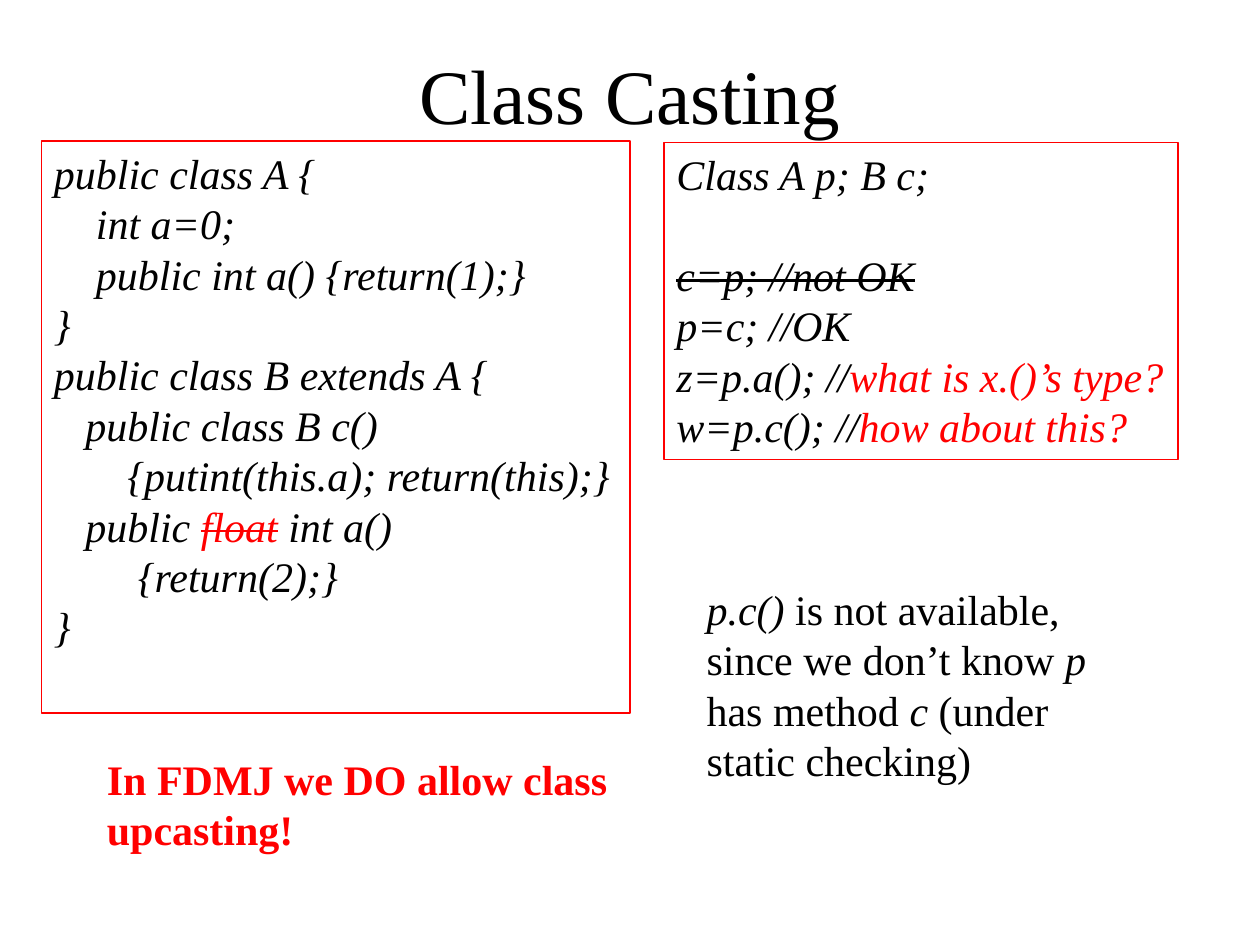
from dataclasses import dataclass

from pptx import Presentation
from pptx.dml.color import RGBColor
from pptx.enum.shapes import MSO_SHAPE
from pptx.enum.text import MSO_ANCHOR, PP_ALIGN
from pptx.util import Inches, Pt

RECTANGLE = MSO_SHAPE.RECTANGLE
TOP, MIDDLE = MSO_ANCHOR.TOP, MSO_ANCHOR.MIDDLE
LEFT, CENTER = PP_ALIGN.LEFT, PP_ALIGN.CENTER


@dataclass(frozen=True)
class Theme:
    font: str = "Times New Roman"
    ink: RGBColor = RGBColor(0, 0, 0)
    accent: RGBColor = RGBColor(255, 0, 0)
    title_size: float = 44
    body_size: float = 24
    line_pitch: float = 28.8
    frame_width: float = 0.75
    indent_step: float = 1 / 12  # inches per code column


class SlideBuilder:
    def __init__(self, slide, theme):
        self.slide = slide
        self.theme = theme

    def write_runs(self, paragraph, runs, size):
        """Each run is (text, flags): i italic, b bold, s struck, r red."""
        for text, flags in runs:
            run = paragraph.add_run()
            run.text = text
            font = run.font
            font.name = self.theme.font
            font.size = Pt(size)
            font.bold = "b" in flags
            font.italic = "i" in flags
            font.color.rgb = self.theme.accent if "r" in flags else self.theme.ink
            if "s" in flags:
                font._element.set("strike", "sngStrike")

    def title(self, box, text):
        frame = self.slide.shapes.add_textbox(*map(Inches, box)).text_frame
        frame.word_wrap = True
        frame.vertical_anchor = MIDDLE
        paragraph = frame.paragraphs[0]
        paragraph.alignment = CENTER
        self.write_runs(paragraph, [(text, "")], self.theme.title_size)

    def note(self, box, runs):
        frame = self.slide.shapes.add_textbox(*map(Inches, box)).text_frame
        frame.word_wrap = True
        paragraph = frame.paragraphs[0]
        paragraph.line_spacing = Pt(self.theme.line_pitch)
        self.write_runs(paragraph, runs, self.theme.body_size)

    def code_box(self, box, lines):
        """Each line is (indent columns, blank lines after, runs)."""
        theme = self.theme
        frame_shape = self.slide.shapes.add_shape(RECTANGLE, *map(Inches, box))
        frame_shape.shadow.inherit = False
        frame_shape.fill.background()
        frame_shape.line.color.rgb = theme.accent
        frame_shape.line.width = Pt(theme.frame_width)
        frame = frame_shape.text_frame
        frame.word_wrap = True
        frame.vertical_anchor = TOP
        for index, (columns, gap, runs) in enumerate(lines):
            paragraph = frame.add_paragraph() if index else frame.paragraphs[0]
            paragraph.alignment = LEFT
            paragraph.line_spacing = Pt(theme.line_pitch)
            paragraph.space_after = Pt(gap * theme.line_pitch)
            indent = Inches(columns * theme.indent_step)
            paragraph._p.get_or_add_pPr().set("marL", str(indent))
            self.write_runs(paragraph, runs, theme.body_size)


def code(text, columns=0, gap=0, flags="i"):
    return columns, gap, [(text, flags)]


CLASS_DEFINITIONS = [
    code("public class A {"),
    code("int a=0;", 4),
    code("public int a() {return(1);}", 4),
    code("}"),
    code("public class B extends A {"),
    code("public class B c()", 3),
    code("{putint(this.a); return(this);}", 7),
    (3, 0, [("public ", "i"), ("float", "irs"), (" int a()", "i")]),
    code("{return(2);}", 8),
    code("}"),
]

CASTING_CODE = [
    code("Class A p; B c;", gap=1),
    code("c=p; //not OK", flags="is"),
    code("p=c; //OK"),
    (0, 0, [("z=p.a(); //", "i"), ("what is x.()’s type?", "ir")]),
    (0, 0, [("w=p.c(); //", "i"), ("how about this?", "ir")]),
]

AVAILABILITY_NOTE = [
    ("p.c() ", "i"),
    ("is not available, since we don’t know ", ""),
    ("p", "i"),
    (" has method ", ""),
    ("c", "i"),
    (" (under static checking)", ""),
]


def main():
    deck = Presentation()
    deck.slide_width, deck.slide_height = Inches(10), Inches(7.5)
    slide = deck.slides.add_slide(deck.slide_layouts[6])
    builder = SlideBuilder(slide, Theme())
    builder.title((0.75, 0.37, 8.5, 0.75), "Class Casting")
    builder.code_box((0.33, 1.12, 4.67, 4.54), CLASS_DEFINITIONS)
    builder.code_box((5.27, 1.13, 4.08, 2.52), CASTING_CODE)
    builder.note((5.51, 4.58, 3.23, 1.72), AVAILABILITY_NOTE)
    builder.note((0.75, 5.93, 4.17, 0.91),
                 [("In FDMJ we DO allow class upcasting!", "br")])
    deck.save("out.pptx")


if __name__ == "__main__":
    main()
